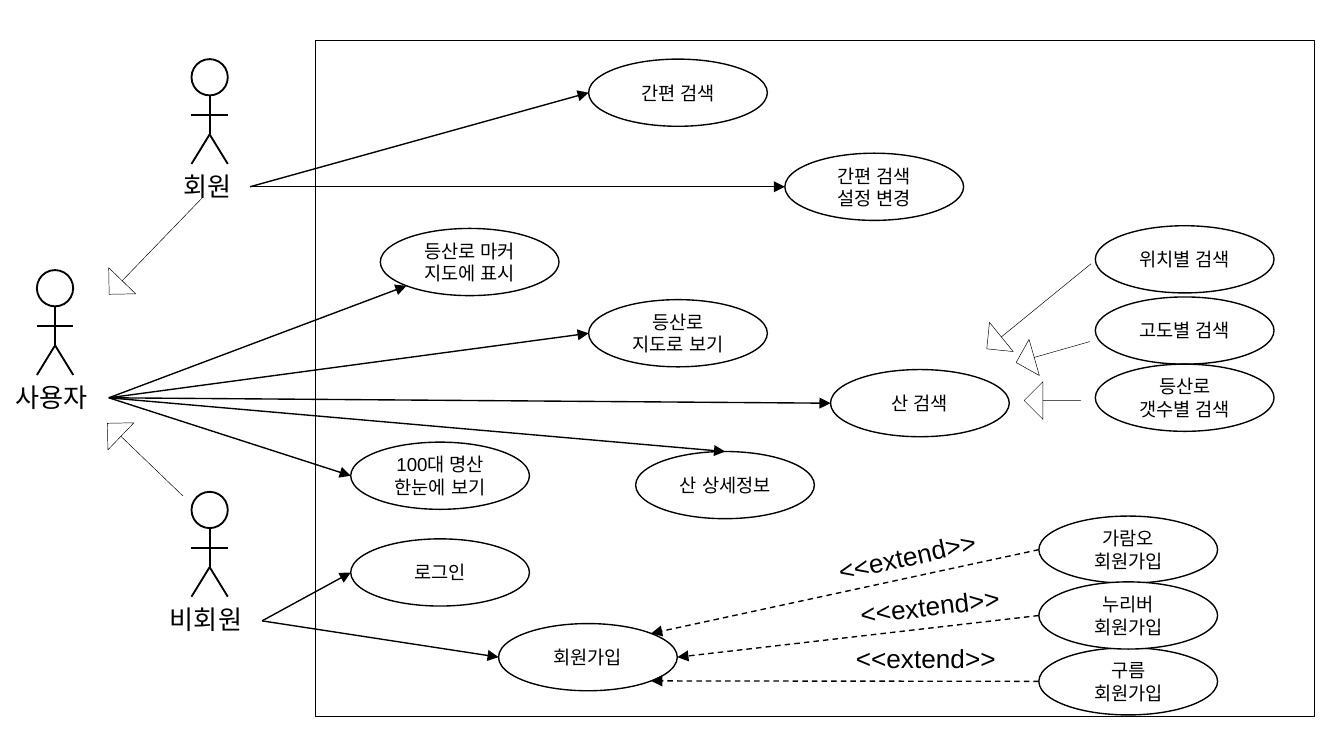
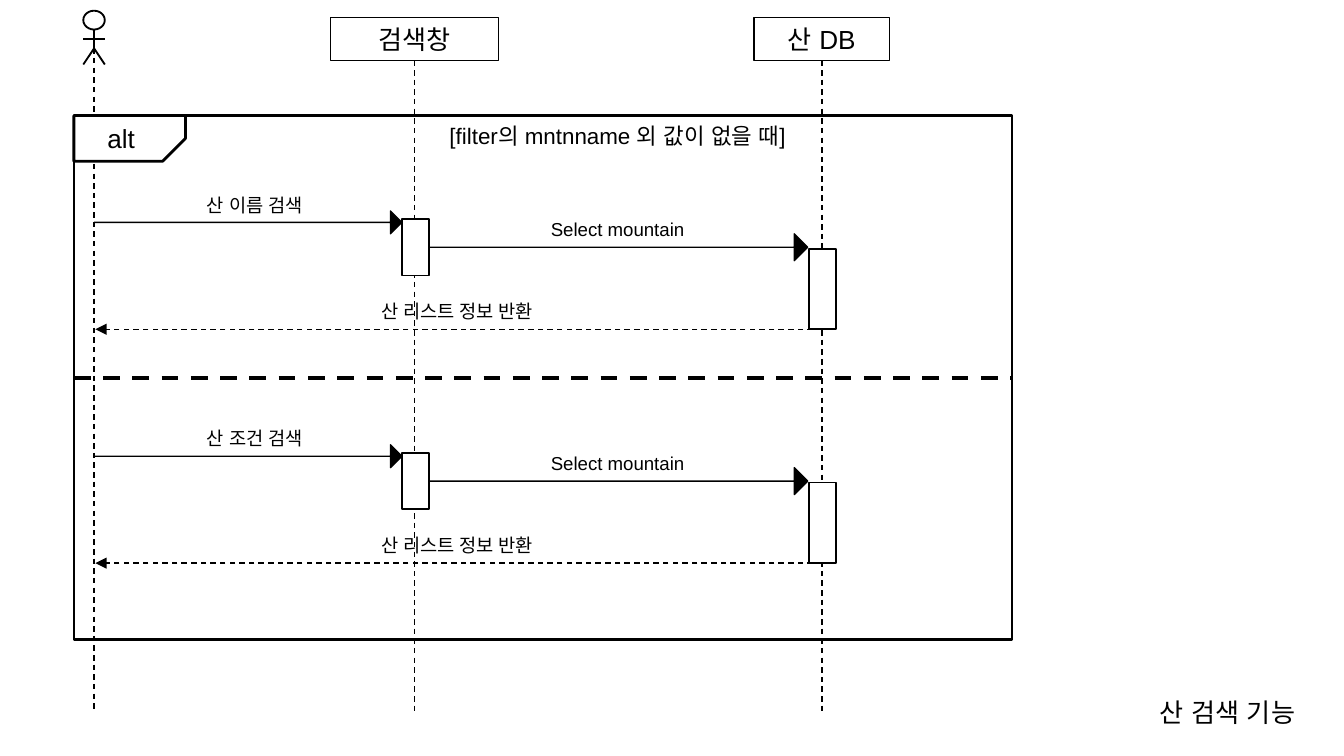
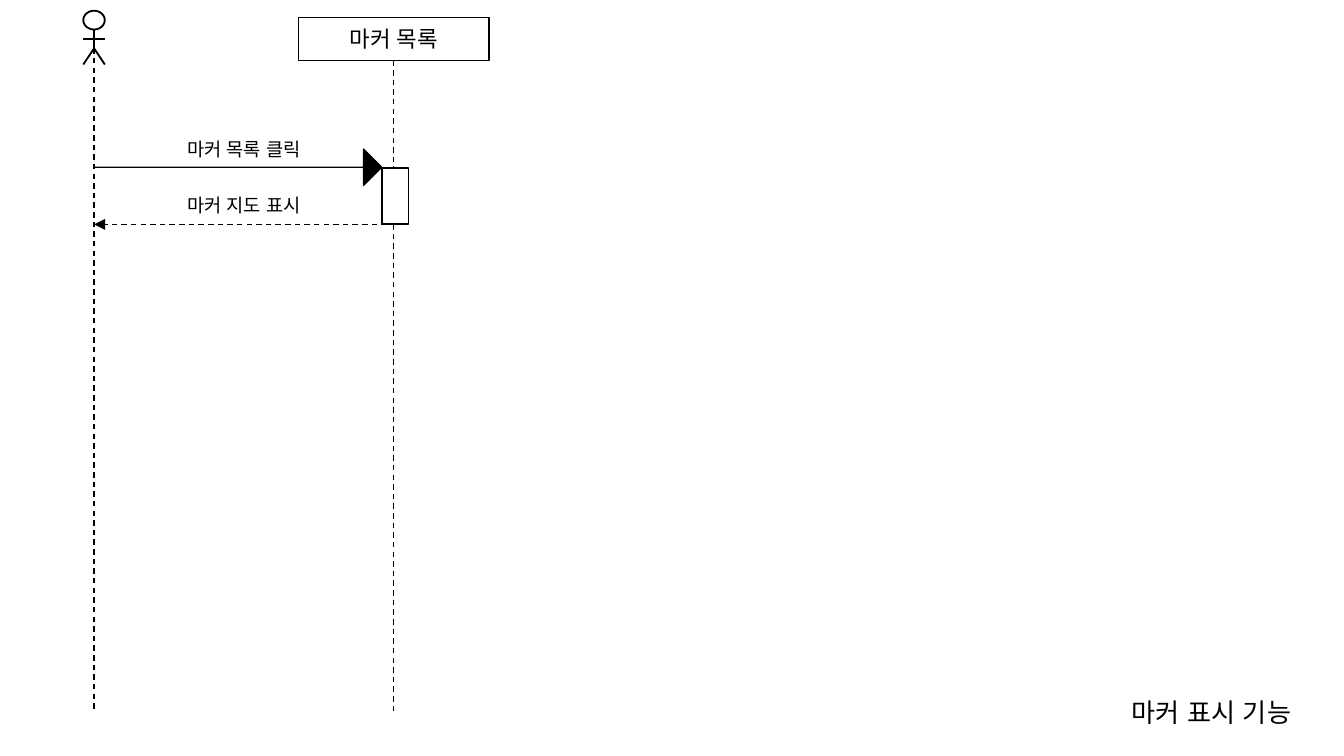
from math import cos, radians, sin

from pptx import Presentation
from pptx.dml.color import RGBColor
from pptx.enum.dml import MSO_LINE
from pptx.enum.shapes import MSO_CONNECTOR, MSO_SHAPE
from pptx.enum.text import MSO_ANCHOR, MSO_AUTO_SIZE, PP_ALIGN
from pptx.oxml.ns import qn
from pptx.util import Inches, Pt
from lxml.etree import SubElement

COLORS = {"ink": "000000", "paper": "FFFFFF"}
FONT, TITLE_FONT = "Arial", "Noto Sans CJK KR"
TITLE_ONLY, BLANK = 5, 6
CASE_W, CASE_H = 1.33, 0.5
USER_X = 0.7          # lifeline of the acting user
LIFE_END = 5.3
BAR_W = 0.2


def color(name):
    return RGBColor.from_string(COLORS[name])


# Text
def write(frame, text, size, align=PP_ALIGN.CENTER, font=FONT):
    paragraph = frame.paragraphs[0]
    paragraph.alignment = align
    run = paragraph.add_run()
    run.text = text
    run.font.size = Pt(size)
    run.font.name = font
    run.font.color.rgb = color("ink")
    SubElement(run.font._element, qn("a:ea"), typeface=FONT)


def add_label(shapes, text, left, top, width, height=0.27, size=10,
              wrap=True, angle=0):
    label = shapes.add_textbox(Inches(left), Inches(top), Inches(width), Inches(height))
    label.rotation = angle
    label.text_frame.word_wrap = wrap
    label.text_frame.auto_size = MSO_AUTO_SIZE.SHAPE_TO_FIT_TEXT
    write(label.text_frame, text, size, PP_ALIGN.CENTER if wrap else PP_ALIGN.LEFT)


def set_title(slide, text, left, width):
    title = slide.shapes.title
    title.left, title.top = Inches(left), Inches(5.13)
    title.width, title.height = Inches(width), Inches(0.34)
    frame = title.text_frame
    frame.word_wrap = False
    frame.auto_size = MSO_AUTO_SIZE.SHAPE_TO_FIT_TEXT
    frame.vertical_anchor = MSO_ANCHOR.TOP
    write(frame, text, 14, PP_ALIGN.LEFT, TITLE_FONT)


# Outlined shapes and lines
def add_outline(shapes, kind, left, top, width, height, fill=None, weight=0.75,
                text=None, size=10):
    shape = shapes.add_shape(kind, Inches(left), Inches(top), Inches(width), Inches(height))
    shape.shadow.inherit = False
    if fill:
        shape.fill.solid()
        shape.fill.fore_color.rgb = color(fill)
    else:
        shape.fill.background()
    shape.line.color.rgb = color("ink")
    shape.line.width = Pt(weight)
    if text:
        shape.text_frame.word_wrap = True
        shape.text_frame.vertical_anchor = MSO_ANCHOR.MIDDLE
        write(shape.text_frame, text, size)
    return shape


def add_line(shapes, start, end, weight=0.75, dashed=False, arrow=False):
    points = [Inches(value) for value in (*start, *end)]
    line = shapes.add_connector(MSO_CONNECTOR.STRAIGHT, *points)
    line.line.color.rgb = color("ink")
    line.line.width = Pt(weight)
    if dashed:
        line.line.dash_style = MSO_LINE.DASH
    if arrow:
        SubElement(line.line._get_or_add_ln(), qn("a:tailEnd"), type="triangle")
    SubElement(line._element.spPr, qn("a:effectLst"))


def add_block_arrow(shapes, kind, left, top, width, height, fill=None, weight=0.75, angle=0):
    arrow = add_outline(shapes, kind, left, top, width, height, fill, weight)
    arrow.adjustments[0] = 0
    arrow.adjustments[1] = 0.5
    arrow.rotation = angle


def add_actor(slide, center, top, head_w, head_h, body, legs, name=None, name_w=0):
    """Stick figure: head, body with arms halfway, legs and an optional name."""
    parts = slide.shapes.add_group_shape().shapes
    half = head_w / 2
    neck = top + head_h
    hip = neck + body
    arms, feet = neck + body / 2, hip + legs
    add_outline(parts, MSO_SHAPE.OVAL, center - half, top, head_w, head_h, "paper", 1)
    for start, end in [((center, neck), (center, hip)),
                       ((center - half, arms), (center + half, arms)),
                       ((center, hip), (center - half, feet)),
                       ((center, hip), (center + half, feet))]:
        add_line(parts, start, end, 1)
    if name:
        add_label(parts, name, center - name_w / 2, feet, name_w, 0.34, 14, wrap=False)


# Use case diagram
def case_edge(corner, degrees):
    """Point on the rim of a use case, counted clockwise from its right end."""
    return (corner[0] + CASE_W / 2 * (1 + cos(radians(degrees))),
            corner[1] + CASE_H / 2 * (1 + sin(radians(degrees))))


def build_use_cases(deck):
    slide = deck.slides.add_slide(deck.slide_layouts[BLANK])
    shapes = slide.shapes
    add_outline(shapes, MSO_SHAPE.RECTANGLE, 2.35, 0.3, 7.43, 5.03)

    for name, center, top, name_w in [("회원", 1.56, 0.44, 0.59),
                                      ("비회원", 1.56, 3.66, 0.79),
                                      ("사용자", 0.41, 2.01, 0.79)]:
        add_actor(slide, center, top, 0.27, 0.27, 0.29, 0.22, name, name_w)

    cases = {
        "간편 검색": (4.38, 0.44),
        "간편 검색 설정 변경": (5.84, 1.14),
        "등산로 마커 지도에 표시": (2.83, 1.7),
        "등산로 지도로 보기": (4.38, 2.23),
        "산 검색": (6.18, 2.75),
        "산 상세정보": (4.73, 3.36),
        "100대 명산 한눈에 보기": (2.61, 3.29),
        "로그인": (2.61, 4.01),
        "회원가입": (3.71, 4.64),
        "위치별 검색": (8.15, 1.68),
        "고도별 검색": (8.15, 2.21),
        "등산로 갯수별 검색": (8.15, 2.71),
        "가람오 회원가입": (7.73, 3.84),
        "구름 회원가입": (7.73, 4.82),
        "누리버 회원가입": (7.73, 4.33),
    }
    filled_case = "누리버 회원가입"
    for text, (left, top) in cases.items():
        add_outline(shapes, MSO_SHAPE.OVAL, left, top, CASE_W, CASE_H,
                    "paper" if text == filled_case else None, text=text)

    # Associations: actor point, then use case and where its rim is met
    member, guest, user = (1.86, 1.39), (1.95, 4.62), (0.81, 2.96)
    for actor, case, degrees in [
            (member, "간편 검색", 180),
            (member, "간편 검색 설정 변경", 180),
            (user, "등산로 마커 지도에 표시", 135),
            (user, "등산로 지도로 보기", 180),
            (user, "산 검색", 180),
            (user, "산 상세정보", 270),
            (user, "100대 명산 한눈에 보기", 180),
            (guest, "로그인", 180),
            (guest, "회원가입", 180)]:
        add_line(shapes, actor, case_edge(cases[case], degrees), arrow=True)

    # Extensions of the sign-up
    for case, degrees, left, top, angle in [
            ("가람오 회원가입", -45, 6.13, 3.97, 347.3),
            ("누리버 회원가입", 0, 6.3, 4.34, 353.1),
            ("구름 회원가입", 45, 6.27, 4.73, 0)]:
        add_line(shapes, case_edge(cases[case], 180), case_edge(cases["회원가입"], degrees),
                 dashed=True, arrow=True)
        add_label(shapes, "<<extend>>", left, top, 1.25, 0.34, 14, wrap=False, angle=angle)

    # Generalizations
    for left, top, width, angle in [(7.62, 2.84, 0.42, 0), (7.55, 2.48, 0.57, 344.1),
                                    (7.23, 2.14, 1, 320.8), (0.66, 1.69, 1, 314),
                                    (0.69, 3.28, 0.78, 43.9)]:
        add_block_arrow(shapes, MSO_SHAPE.LEFT_ARROW, left, top, width, 0.28,
                        weight=0.25, angle=angle)


# Sequence diagrams
def start_sequence(deck, title, left, width):
    slide = deck.slides.add_slide(deck.slide_layouts[TITLE_ONLY])
    set_title(slide, title, left, width)
    add_actor(slide, USER_X, 0.08, 0.16, 0.14, 0.14, 0.12)
    add_line(slide.shapes, (USER_X, 0.36), (USER_X, LIFE_END), dashed=True)
    return slide.shapes


def add_participant(shapes, name, left, width, size=14):
    add_outline(shapes, MSO_SHAPE.RECTANGLE, left, 0.13, width, 0.32, text=name, size=size)
    center = left + width / 2
    add_line(shapes, (center, 0.45), (center, LIFE_END), dashed=True)


def add_activation(shapes, left, top, height):
    add_outline(shapes, MSO_SHAPE.RECTANGLE, left, top, BAR_W, height, "paper", 1)


def add_call(shapes, left, right, top, height):
    add_block_arrow(shapes, MSO_SHAPE.RIGHT_ARROW, left, top, right - left, height, "ink")


def add_reply(shapes, text, right, left, y, label_top, label_w):
    add_line(shapes, (right, y), (left, y), dashed=True, arrow=True)
    add_label(shapes, text, USER_X, label_top, label_w)


def add_search_round(shapes, request, shift):
    add_call(shapes, USER_X, 2.99, 1.57 + shift, 0.17)
    add_activation(shapes, 2.99, 1.63 + shift, 0.42)
    add_label(shapes, request, USER_X, 1.39 + shift, 2.39)
    add_call(shapes, 3.2, 6.01, 1.74 + shift, 0.2)
    add_label(shapes, "Select mountain", 3.08, 1.57 + shift, 3.03)
    add_reply(shapes, "산 리스트 정보 반환", 6.12, 0.71, 2.45 + shift, 2.18 + shift, 5.4)
    add_activation(shapes, 6.02, 1.85 + shift, 0.6)


def build_search(deck):
    shapes = start_sequence(deck, "산 검색 기능", 8.53, 1.31)
    add_participant(shapes, "검색창", 2.46, 1.25)
    add_participant(shapes, "산 DB", 5.61, 1.01)

    # Alternative frame with its tag and divider
    left, top, width = 0.55, 0.86, 6.98
    add_outline(shapes, MSO_SHAPE.RECTANGLE, left, top, width, 3.9, weight=1.5)
    tag = add_outline(shapes, MSO_SHAPE.SNIP_1_RECTANGLE, left, top, 0.83, 0.34, "paper", 1.5)
    tag.adjustments[0] = 0.5
    tag.rotation = 180
    tag._element.spPr.xfrm.set("flipH", "1")
    add_label(shapes, "alt", 0.7, top, 0.41, 0.34, 14, wrap=False)
    add_label(shapes, "[filter의 mntnname 외 값이 없을 때]", 3.08, top, 3.03, 0.3, 12)
    add_line(shapes, (left, 2.81), (left + width, 2.81), 2.25, dashed=True)

    for index, request in enumerate(["산 이름 검색", "산 조건 검색"]):
        add_search_round(shapes, request, 1.74 * index)


def build_marker(deck):
    shapes = start_sequence(deck, "마커 표시 기능", 8.32, 1.51)
    add_participant(shapes, "마커 목록", 2.22, 1.42, 12)
    add_call(shapes, 0.71, 2.84, 1.11, 0.27)
    add_label(shapes, "마커 목록 클릭", USER_X, 0.98, 2.23)
    add_reply(shapes, "마커 지도 표시", 2.95, USER_X, 1.67, 1.39, 2.23)
    add_activation(shapes, 2.84, 1.25, 0.42)


def main():
    deck = Presentation()
    deck.slide_width, deck.slide_height = Inches(10), Inches(10 * 9 / 16)
    build_use_cases(deck)
    build_search(deck)
    build_marker(deck)
    deck.save("out.pptx")


main()
